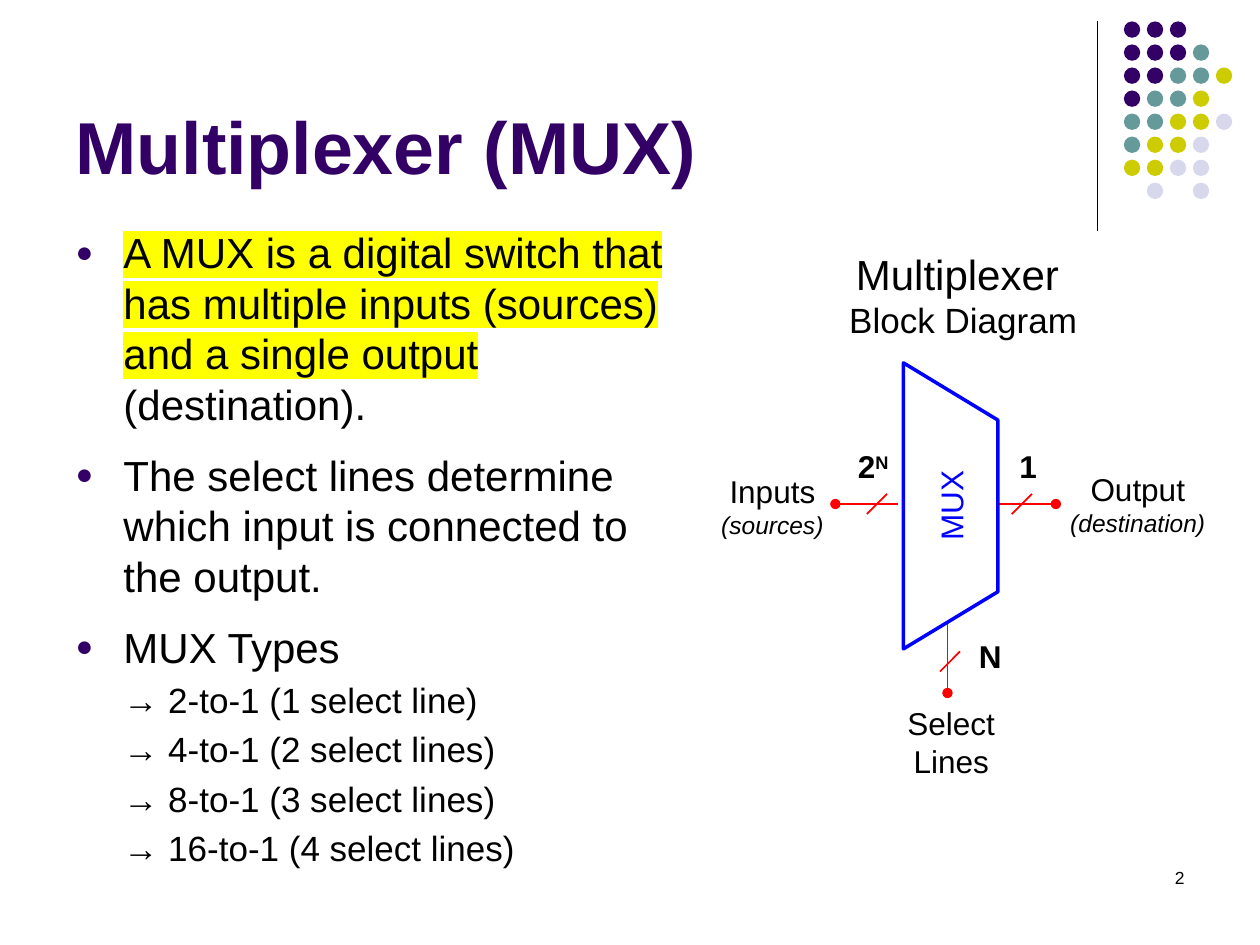
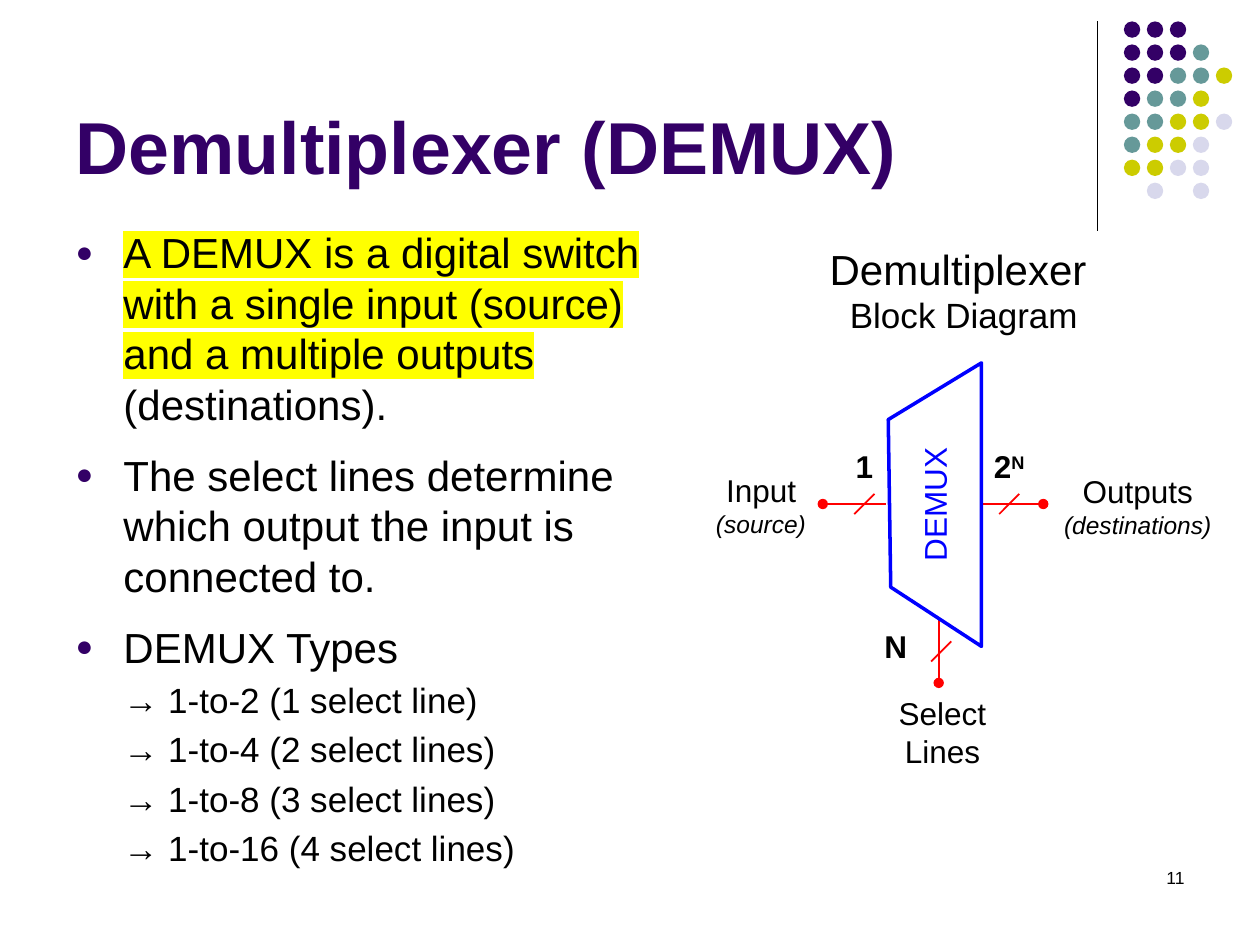
import pptx
import pptx.dml.color
import pptx.enum.shapes
import pptx.enum.text
import pptx.oxml
import pptx.oxml.ns
import pptx.util

Inches = pptx.util.Inches
Pt = pptx.util.Pt
SHAPE = pptx.enum.shapes.MSO_SHAPE
ALIGN = pptx.enum.text.PP_ALIGN
ANCHOR = pptx.enum.text.MSO_ANCHOR
FIT = pptx.enum.text.MSO_AUTO_SIZE

HUES = {"plum": "330066", "teal": "669999", "lime": "CCCC00", "mist": "D8D8EC",
        "ink": "000000", "paper": "FFFFFF", "wire": "FF0000", "block": "0000FF",
        "mark": "FFFF00"}
DOTS = ["PPP..", "PPPT.", "PPTTY", "PTTY.", "TTYYL", "TYYL.", "YYLL.", ".L.L."]
DOT_HUES = {"P": "plum", "T": "teal", "Y": "lime", "L": "mist"}

TITLE = {"size": Pt(42), "bold": True}
LARGE = {"size": Pt(24)}
MID = {"size": Pt(20)}
PLAIN = {"size": Pt(18)}
STRONG = {"size": Pt(18), "bold": True}
SLANT = {"size": Pt(14), "italic": True}
TINY = {"size": Pt(10)}

TITLE_BOX = (0.5, 0.3, 9.5, 1.25)
NUMBER_BOX = (7.17, 6.83, 2.33, 0.5)
ART_BOX = (5.5, 1.75, 4.25, 4.5)
DOT_BOX = (8.92, 0.17, 0.73, 1.28)
WIRE_Y = 2.25

ONE = [[("1", STRONG)]]
POWER = [[("2", STRONG), ("N", dict(STRONG, raised=True))]]
SELECT = [[("N", STRONG)]]


def color(name):
    return pptx.dml.color.RGBColor.from_string(HUES[name])


def make_xml(tag, **values):
    words = " ".join(f'{key}="{value}"' for key, value in values.items())
    return pptx.oxml.parse_xml(f'<a:{tag} {pptx.oxml.ns.nsdecls("a")} {words}/>')


def make_hue(tag, name):
    """Return an XML element that holds one colour."""
    part = make_xml(tag)
    part.append(make_xml("srgbClr", val=HUES[name]))
    return part


def shift(box, origin):
    """Turn a box within a region into a box on the slide."""
    return (origin[0] + box[0], origin[1] + box[1], *box[2:])


def place(shape, box):
    for name, value in zip(("left", "top", "width", "height"), box):
        setattr(shape, name, Inches(value))


def add_run(para, text, form, hue="ink"):
    run = para.add_run()
    run.text = text
    run.font.name = "Arial"
    run.font.color.rgb = color(hue)
    for name, value in form.items():
        if name == "raised":
            run.font._element.set("baseline", "30000")
        else:
            setattr(run.font, name, value)
    return run


def add_label(shapes, box, lines, hue="ink", align=ALIGN.CENTER, wrap=False):
    label = shapes.add_textbox(*map(Inches, box))
    frame = label.text_frame
    frame.word_wrap = wrap
    frame.auto_size = FIT.NONE if wrap else FIT.SHAPE_TO_FIT_TEXT
    for index, line in enumerate(lines):
        para = frame.add_paragraph() if index else frame.paragraphs[0]
        para.alignment = align
        for text, form in line:
            add_run(para, text, form, hue)
    return label


def add_line(shapes, start, end, hue="wire", width=1, dot=False):
    """Draw a line, with a round head at its start if dot is set."""
    line = shapes.add_connector(pptx.enum.shapes.MSO_CONNECTOR.STRAIGHT,
                                *map(Inches, (*start, *end)))
    line.line.color.rgb = color(hue)
    line.line.width = Pt(width)
    frame = line.element.spPr
    if dot:
        frame.find(pptx.oxml.ns.qn("a:ln")).append(make_xml("headEnd", type="oval"))
    frame.append(make_xml("effectLst"))


def add_wire(shapes, start, end, tick):
    """Draw a bus wire that is crossed by a short slash centred on tick."""
    add_line(shapes, start, end, dot=True)
    x, y = tick
    add_line(shapes, (x - 0.08, y + 0.08), (x + 0.08, y - 0.08))


def style_block(shape):
    shape.shadow.inherit = False
    shape.fill.solid()
    shape.fill.fore_color.rgb = color("paper")
    shape.line.color.rgb = color("block")
    shape.line.width = Pt(2)


def draw_mux(shapes, origin):
    box = shift((0.91, 1.89, 2.27, 0.75), origin)
    block = shapes.add_shape(SHAPE.FLOWCHART_MANUAL_OPERATION, *map(Inches, box))
    block.rotation = 270
    style_block(block)
    block.text_frame.vertical_anchor = ANCHOR.MIDDLE
    para = block.text_frame.paragraphs[0]
    para.alignment = ALIGN.CENTER
    add_run(para, "MUX", PLAIN, "block")


def draw_demux(shapes, origin):
    points = [tuple(map(Inches, shift(point, origin))) for point in
              [(1.57, 2.91), (1.55, 1.58), (2.29, 1.13), (2.29, 3.38)]]
    path = shapes.build_freeform(*points[0])
    path.add_line_segments(points[1:], close=True)
    style_block(path.convert_to_shape())
    label = add_label(shapes, shift((1.36, 2.05, 1.11, 0.4), origin),
                      [[("DEMUX", PLAIN)]], "block", ALIGN.LEFT)
    label.rotation = 270


def draw_art(slide, box, art):
    """Draw the block diagram and its caption in the given box."""
    add_label(slide.shapes, shift(art["head_box"], box),
              [[(art["head"] + " ", LARGE)], [("Block Diagram", MID)]])
    shapes = slide.shapes.add_group_shape().shapes
    left, y = shift((art["wire_x"], WIRE_Y), box)
    right = left + 1.75
    add_wire(shapes, (left, y), (left + 0.5, y), (left + 0.33, y))
    add_wire(shapes, (right, y), (right - 0.5, y), (right - 0.27, y))
    x, y = shift(art["select"], box)
    add_wire(shapes, (x, y), (x, y - 0.6), (x + 0.02, y - 0.25))
    add_label(shapes, (x - 0.42, y + 0.04, 0.9, 0.71),
              [[("Select", PLAIN)], [("Lines", PLAIN)]])
    for spot, name, role in art["ends"]:
        add_label(shapes, shift(spot, box), [[(name, PLAIN)], [(role, SLANT)]])
    for spot, count in art["counts"]:
        add_label(shapes, shift(spot, box), count)
    art["draw"](shapes, box)


def draw_dots(shapes, box):
    left, top, width, height = box
    for row, line in enumerate(DOTS):
        for col, key in enumerate(line):
            if key == ".":
                continue
            x = left + col * width / (len(line) - 1)
            y = top + row * height / (len(DOTS) - 1)
            dot = shapes.add_shape(SHAPE.OVAL, *map(Inches, (x, y, 0.13, 0.13)))
            dot.shadow.inherit = False
            dot.fill.solid()
            dot.fill.fore_color.rgb = color(DOT_HUES[key])
            dot.line.fill.background()


def dress_layout(slide, layout):
    """Draw the corner pattern in a group and hand it to the layout."""
    group = slide.shapes.add_group_shape()
    add_line(group.shapes, (8.71, 0.17), (8.71, 1.83), "ink", 0.75)
    draw_dots(group.shapes, DOT_BOX)
    layout.shapes.element.append(group.element)


def fill_title(slide, text):
    title = slide.shapes.title
    place(title, TITLE_BOX)
    title.text_frame.vertical_anchor = ANCHOR.BOTTOM
    title.text_frame.auto_size = FIT.NONE
    para = title.text_frame.paragraphs[0]
    para.alignment = ALIGN.LEFT
    add_run(para, text, TITLE, "plum")


def format_item(para, level, after):
    para.level = level
    para.space_before = Pt(4 * level)
    para.space_after = Pt(after)
    props = para._p.get_or_add_pPr()
    props.set("marL", str(Inches(0.38 * (level + 1))))
    props.set("indent", str(Inches(-0.38)))
    if level:
        props.append(make_xml("buNone"))
        return
    props.append(make_hue("buClr", "plum"))
    props.append(make_xml("buSzPct", val=70000))
    props.append(make_xml("buFont", typeface="Arial"))
    props.append(make_xml("buChar", char="●"))


def fill_body(slide, box, page):
    body = slide.placeholders[1]
    place(body, box)
    frame = body.text_frame
    frame.auto_size = FIT.NONE
    para = frame.paragraphs[0]
    format_item(para, 0, 12)
    run = add_run(para, page["key"] + " ", LARGE)
    latin = run.font._element.find(pptx.oxml.ns.qn("a:latin"))
    latin.addprevious(make_hue("highlight", "mark"))
    add_run(para, page["rest"], LARGE)
    items = [(page["point"], 0, 12, LARGE), (page["types"], 0, 0, LARGE)]
    for power, kind in enumerate(page["kinds"], 1):
        plural = "s" if power > 1 else ""
        items.append((f"→ {kind} ({power} select line{plural})", 1, 0, MID))
    for text, level, after, form in items:
        para = frame.add_paragraph()
        format_item(para, level, after)
        add_run(para, text, form)


def build_page(slide, page):
    fill_title(slide, page["title"])
    fill_body(slide, (0.5, 1.75, page["width"], 5.5), page)
    add_label(slide.shapes, NUMBER_BOX, [[(page["number"], TINY)]],
              align=ALIGN.RIGHT, wrap=True)
    draw_art(slide, ART_BOX, page["art"])


SIZES = [2, 4, 8, 16]
PAGES = [
    {"title": "Multiplexer (MUX)", "number": "2", "width": 5,
     "key": "A MUX is a digital switch that has multiple inputs (sources) "
            "and a single output",
     "rest": "(destination).",
     "point": "The select lines determine which input is connected to the output.",
     "types": "MUX Types", "kinds": [f"{size}-to-1" for size in SIZES],
     "art": {"head": "Multiplexer", "head_box": (1.13, 0.17, 2.03, 0.84),
             "wire_x": 1.13, "select": (2.02, 3.75), "draw": draw_mux,
             "ends": [((0.12, 1.95, 1.02, 0.64), "Inputs", "(sources)"),
                      ((2.89, 1.93, 1.28, 0.64), "Output", "(destination)")],
             "counts": [((1.2, 1.75, 0.46, 0.4), POWER),
                        ((2.49, 1.75, 0.34, 0.4), ONE),
                        ((2.17, 3.26, 0.38, 0.4), SELECT)]}},
    {"title": "Demultiplexer (DEMUX)", "number": "11", "width": 4.92,
     "key": "A DEMUX is a digital switch with a single input (source) "
            "and a multiple outputs",
     "rest": "(destinations).",
     "point": "The select lines determine which output the input is connected to.",
     "types": "DEMUX Types", "kinds": [f"1-to-{size}" for size in SIZES],
     "art": {"head": "Demultiplexer", "head_box": (0.98, 0.13, 2.34, 0.83),
             "wire_x": 1.03, "select": (1.95, 3.67), "draw": draw_demux,
             "ends": [((0.08, 1.94, 0.92, 0.64), "Input", "(source)"),
                      ((2.84, 1.95, 1.38, 0.64), "Outputs", "(destinations)")],
             "counts": [((1.19, 1.75, 0.34, 0.4), ONE),
                        ((2.28, 1.75, 0.46, 0.4), POWER),
                        ((1.42, 3.18, 0.38, 0.4), SELECT)]}},
]


def main():
    deck = pptx.Presentation()
    deck.slide_width, deck.slide_height = Inches(10), Inches(7.5)
    layout = deck.slide_layouts[1]
    for holder in list(layout.placeholders)[2:]:
        layout.shapes.element.remove(holder.element)
    slides = [deck.slides.add_slide(layout) for page in PAGES]
    dress_layout(slides[0], layout)
    for slide, page in zip(slides, PAGES):
        build_page(slide, page)
    deck.save("out.pptx")


if __name__ == "__main__":
    main()
